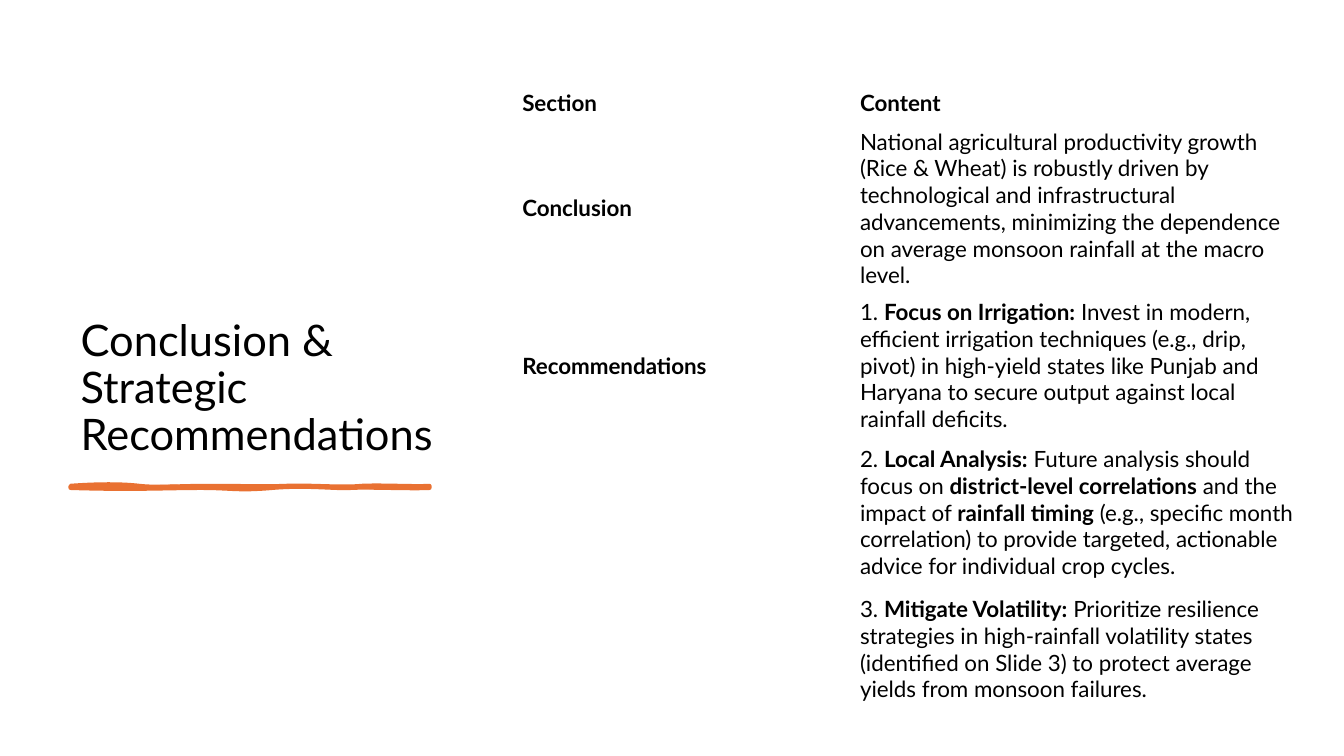
from dataclasses import dataclass

from lxml import etree
from pptx import Presentation
from pptx.dml.color import RGBColor
from pptx.enum.text import MSO_ANCHOR, MSO_AUTO_SIZE, PP_ALIGN
from pptx.oxml.ns import qn
from pptx.util import Inches, Pt

MIDDLE, BOTTOM = MSO_ANCHOR.MIDDLE, MSO_ANCHOR.BOTTOM
LEFT = PP_ALIGN.LEFT
NO_AUTOFIT = MSO_AUTO_SIZE.NONE
TITLE_ONLY_LAYOUT = 5


@dataclass(frozen=True)
class Theme:
    font: str = "Lato"
    title_size: int = 31
    table_size: int = 16
    text: str = "000000"
    accent: str = "E97132"
    border: str = "FFFFFF"
    border_width: float = 0.25
    underline_width: int = 3


THEME = Theme()

TITLE = "Conclusion & Strategic Recommendations"
COLUMN_WIDTHS = [3.35, 4.54]
ROW_HEIGHTS = [0.4, 1.49, 1.22, 1.49, 1.22]
# Text between pairs of ** is bold.
ROWS = [
    ("**Section**", "**Content**"),
    ("**Conclusion**",
     "National agricultural productivity growth (Rice & Wheat) is robustly driven by "
     "technological and infrastructural advancements, minimizing the dependence on "
     "average monsoon rainfall at the macro level."),
    ("**Recommendations**",
     "1. **Focus on Irrigation:** Invest in modern, efficient irrigation techniques "
     "(e.g., drip, pivot) in high-yield states like Punjab and Haryana to secure "
     "output against local rainfall deficits."),
    ("",
     "2. **Local Analysis:** Future analysis should focus on **district-level "
     "correlations** and the impact of **rainfall timing** (e.g., specific month "
     "correlation) to provide targeted, actionable advice for individual crop cycles."),
    ("",
     "3. **Mitigate Volatility:** Prioritize resilience strategies in high-rainfall "
     "volatility states (identified on Slide 3) to protect average yields from "
     "monsoon failures."),
]

# Each curve holds two control points and an end point, in inches.
UNDERLINE_START = (0.7, 4.82)
UNDERLINE_OUTLINE = [
    (0.97, 4.8, 1.21, 4.8, 1.38, 4.82), (1.55, 4.84, 1.77, 4.82, 2.09, 4.82),
    (2.41, 4.82, 2.6, 4.83, 2.84, 4.82), (3.08, 4.81, 3.39, 4.84, 3.59, 4.82),
    (3.79, 4.81, 4.12, 4.83, 4.26, 4.82), (4.26, 4.83, 4.26, 4.84, 4.26, 4.84),
    (4.08, 4.85, 3.64, 4.83, 3.48, 4.84), (3.32, 4.85, 3.04, 4.81, 2.7, 4.84),
    (2.35, 4.87, 2.31, 4.84, 1.99, 4.84), (1.66, 4.84, 1.32, 4.86, 0.7, 4.84),
    (0.7, 4.84, 0.7, 4.83, 0.7, 4.82),
]
UNDERLINE_BODY = [
    (1.02, 4.84, 1.1, 4.83, 1.38, 4.82), (1.66, 4.81, 1.69, 4.8, 1.99, 4.82),
    (2.28, 4.84, 2.61, 4.83, 2.77, 4.82), (2.93, 4.81, 3.27, 4.85, 3.44, 4.82),
    (3.62, 4.8, 3.97, 4.86, 4.26, 4.82), (4.26, 4.83, 4.26, 4.83, 4.26, 4.84),
    (4.12, 4.84, 3.72, 4.87, 3.55, 4.84), (3.38, 4.82, 3.09, 4.84, 2.77, 4.84),
    (2.44, 4.84, 2.4, 4.83, 2.16, 4.84), (1.93, 4.85, 1.79, 4.83, 1.45, 4.84),
    (1.11, 4.85, 0.92, 4.84, 0.7, 4.84), (0.7, 4.83, 0.7, 4.83, 0.7, 4.82),
]


def set_font(font, size):
    font.name = THEME.font
    font.size = Pt(size)
    font.color.rgb = RGBColor.from_string(THEME.text)


def add_title(slide):
    title = slide.shapes.title
    title.left, title.top = Inches(0.7), Inches(0.7)
    title.width = title.height = Inches(3.91)
    frame = title.text_frame
    frame.text = TITLE
    frame.word_wrap = True
    frame.auto_size = NO_AUTOFIT
    frame.vertical_anchor = BOTTOM
    paragraph = frame.paragraphs[0]
    paragraph.alignment = LEFT
    paragraph.line_spacing = 0.9
    set_font(paragraph.font, THEME.title_size)


def add_contour(contours, shape, curves, **options):
    """Add a closed chain of cubic Bézier curves to the outline of a shape."""
    contour = etree.SubElement(
        contours, qn("a:path"), w=str(shape.width), h=str(shape.height), **options)

    def add_command(tag, values):
        command = etree.SubElement(contour, qn(tag))
        for x, y in zip(values[::2], values[1::2]):
            etree.SubElement(command, qn("a:pt"), x=str(Inches(x) - shape.left),
                             y=str(Inches(y) - shape.top))

    add_command("a:moveTo", UNDERLINE_START)
    for curve in curves:
        add_command("a:cubicBezTo", curve)
    etree.SubElement(contour, qn("a:close"))


def add_underline(slide):
    start_x, start_y = (Inches(value) for value in UNDERLINE_START)
    builder = slide.shapes.build_freeform(start_x, start_y)
    builder.add_line_segments(
        [(Inches(curve[4]), Inches(curve[5])) for curve in UNDERLINE_OUTLINE])
    shape = builder.convert_to_shape()
    contours = shape._element.find(".//" + qn("a:pathLst"))
    for contour in list(contours):
        contours.remove(contour)
    add_contour(contours, shape, UNDERLINE_OUTLINE, fill="none")
    add_contour(contours, shape, UNDERLINE_BODY, stroke="0")
    accent = RGBColor.from_string(THEME.accent)
    shape.shadow.inherit = False
    shape.fill.solid()
    shape.fill.fore_color.rgb = accent
    shape.line.color.rgb = accent
    shape.line.width = Pt(THEME.underline_width)


def add_borders(cell):
    properties = cell._tc.get_or_add_tcPr()
    for index, side in enumerate(("a:lnL", "a:lnR", "a:lnT", "a:lnB")):
        line = etree.Element(qn(side), w=str(Pt(THEME.border_width)))
        fill = etree.SubElement(line, qn("a:solidFill"))
        etree.SubElement(fill, qn("a:srgbClr"), val=THEME.border)
        properties.insert(index, line)


def fill_cell(cell, text):
    cell.fill.background()
    add_borders(cell)
    cell.vertical_anchor = MIDDLE
    cell.margin_left = cell.margin_right = Inches(0.09)
    cell.margin_top = cell.margin_bottom = Inches(0.05)
    paragraph = cell.text_frame.paragraphs[0]
    set_font(paragraph.font, THEME.table_size)
    for index, part in enumerate(text.split("**")):
        if part:
            run = paragraph.add_run()
            run.text = part
            run.font.bold = index % 2 == 1


def add_recommendation_table(slide):
    table = slide.shapes.add_table(
        len(ROWS), len(COLUMN_WIDTHS), Inches(5.09), Inches(0.82),
        Inches(sum(COLUMN_WIDTHS)), Inches(sum(ROW_HEIGHTS)),
    ).table
    table.first_row = table.horz_banding = False
    for column, width in zip(table.columns, COLUMN_WIDTHS):
        column.width = Inches(width)
    for row, height, texts in zip(table.rows, ROW_HEIGHTS, ROWS):
        row.height = Inches(height)
        for cell, text in zip(row.cells, texts):
            fill_cell(cell, text)


def main():
    presentation = Presentation()
    presentation.slide_width = Inches(13.33)
    presentation.slide_height = Inches(7.5)
    slide = presentation.slides.add_slide(presentation.slide_layouts[TITLE_ONLY_LAYOUT])
    add_title(slide)
    add_underline(slide)
    add_recommendation_table(slide)
    presentation.save("out.pptx")


if __name__ == "__main__":
    main()
